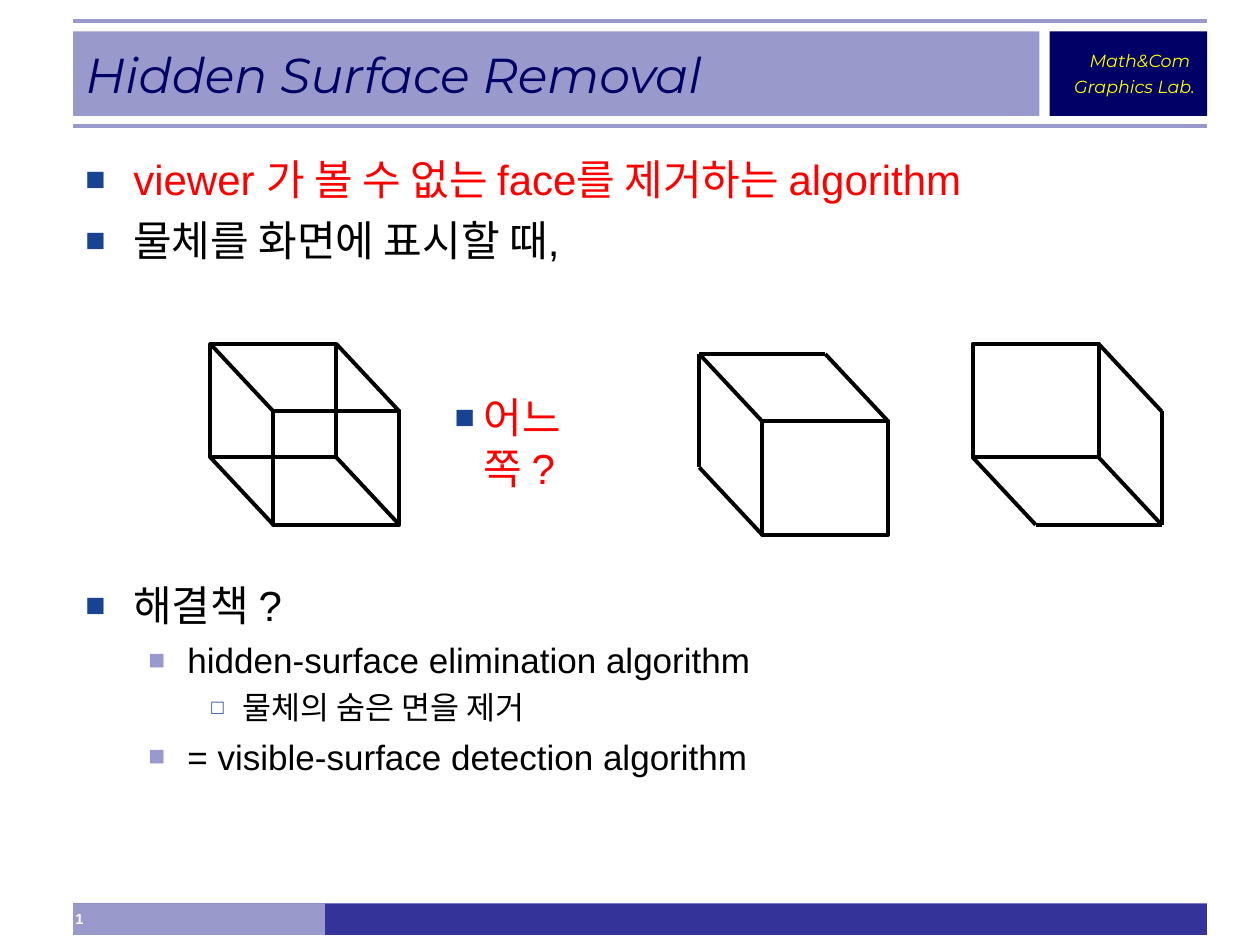
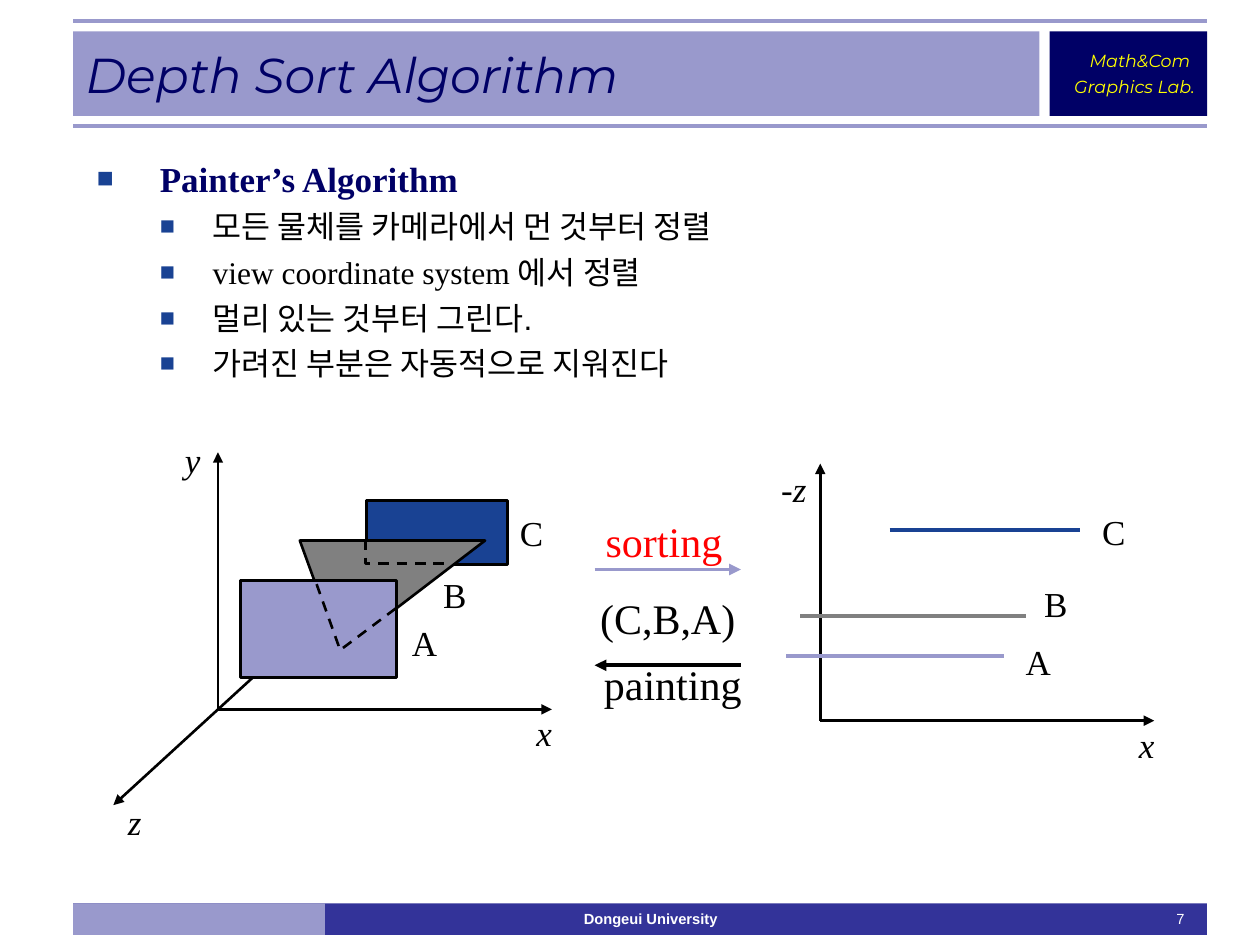
import dataclasses

import pptx
import pptx.dml.color
import pptx.enum.dml
import pptx.enum.shapes
import pptx.enum.text
import pptx.oxml
import pptx.oxml.ns
import pptx.slide
import pptx.util
from pptx.util import Inches

BLACK, WHITE, RED, GREY = "000000", "FFFFFF", "FF0000", "808080"
NAVY, BLUE, LILAC, INDIGO, YELLOW = "000066", "194293", "9999CC", "333399", "FFFF00"
ARIAL, TIMES, MONT = "Arial", "Times New Roman", "Montserrat"
RECT = pptx.enum.shapes.MSO_SHAPE.RECTANGLE
ALIGN = pptx.enum.text.PP_ALIGN
ANCHOR = pptx.enum.text.MSO_ANCHOR
Point = tuple[float, float]


@dataclasses.dataclass(frozen=True)
class Box:
    left: float
    top: float
    width: float
    height: float


@dataclasses.dataclass(frozen=True)
class Font:
    size: float
    name: str = ARIAL
    tint: str = BLACK
    bold: bool = False
    slant: bool = False


@dataclasses.dataclass(frozen=True)
class Bullet:
    left: float
    hang: float
    tint: str = BLUE
    mark: str = "■"
    scale: int = 80


@dataclasses.dataclass(frozen=True)
class Para:
    text: str
    font: Font
    bullet: Bullet | None = None
    gap: float = 0
    align: ALIGN = ALIGN.LEFT
    tail: str = ""
    tail_face: str = ARIAL


@dataclasses.dataclass(frozen=True)
class Line:
    start: Point
    end: Point
    tint: str = BLACK
    width: float = 1.5
    arrow: bool = False


@dataclasses.dataclass(frozen=True)
class Cube:
    left: float
    top: float
    faces: str
    edges: str


@dataclasses.dataclass(frozen=True)
class Label:
    text: str
    mid: Point
    size: float = 20
    tint: str = BLACK
    slant: bool = False


def paint(part, tint: str) -> None:
    if isinstance(part, pptx.dml.fill.FillFormat):
        part.solid()
        part = part.fore_color
    part.rgb = pptx.dml.color.RGBColor.from_string(tint)


def style(font, look: Font) -> None:
    font.size = pptx.util.Pt(look.size)
    font.name = look.name
    font.bold = look.bold
    font.italic = look.slant
    paint(font.color, look.tint)


def add_bullet(para, bullet: Bullet) -> None:
    props = para._p.get_or_add_pPr()
    props.set("marL", str(Inches(bullet.left)))
    props.set("indent", str(-Inches(bullet.hang)))
    space = pptx.oxml.ns.nsdecls("a")
    for xml in (
        f'<a:buClr {space}><a:srgbClr val="{bullet.tint}"/></a:buClr>',
        f'<a:buSzPct {space} val="{bullet.scale * 1000}"/>',
        f'<a:buFont {space} typeface="{ARIAL}"/>',
        f'<a:buChar {space} char="{bullet.mark}"/>',
    ):
        props.append(pptx.oxml.parse_xml(xml))


def write(frame, paras: list[Para], wrap: bool = True, anchor: ANCHOR = ANCHOR.TOP) -> None:
    frame.word_wrap = wrap
    frame.auto_size = pptx.enum.text.MSO_AUTO_SIZE.NONE
    frame.vertical_anchor = anchor
    for index, item in enumerate(paras):
        para = frame.add_paragraph() if index else frame.paragraphs[0]
        if item.bullet:
            add_bullet(para, item.bullet)
        para.alignment = item.align
        para.space_before = pptx.util.Pt(item.gap)
        style(para.font, item.font)
        run = para.add_run()
        run.text = item.text
        if item.tail:
            run.font.name = item.font.name
            run = para.add_run()
            run.text = item.tail
            run.font.name = item.tail_face


def place(box: Box) -> tuple:
    return Inches(box.left), Inches(box.top), Inches(box.width), Inches(box.height)


def add_text(slide: pptx.slide.Slide, box: Box, *paras: Para) -> None:
    write(slide.shapes.add_textbox(*place(box)).text_frame, list(paras))


def finish(shape, fill: str | None, edge: str | None, width: float) -> None:
    shape.shadow.inherit = False
    if fill:
        paint(shape.fill, fill)
    else:
        shape.fill.background()
    if edge:
        paint(shape.line.fill, edge)
        shape.line.width = pptx.util.Pt(width)
    else:
        shape.line.fill.background()


def add_rect(slide: pptx.slide.Slide, box: Box, fill: str | None = None,
             edge: str | None = None, width: float = 1.5):
    rect = slide.shapes.add_shape(RECT, *place(box))
    finish(rect, fill, edge, width)
    return rect


def add_path(slide: pptx.slide.Slide, points: list[Point], fill: str | None = None) -> None:
    spots = [(Inches(x), Inches(y)) for x, y in points]
    pen = slide.shapes.build_freeform(*spots[0])
    pen.add_line_segments(spots[1:], close=bool(fill))
    shape = pen.convert_to_shape()
    finish(shape, fill, BLACK, 1.5)
    if not fill:
        shape.line.dash_style = pptx.enum.dml.MSO_LINE.DASH


def add_line(slide: pptx.slide.Slide, line: Line) -> None:
    ends = [Inches(value) for value in (*line.start, *line.end)]
    link = slide.shapes.add_connector(pptx.enum.shapes.MSO_CONNECTOR.STRAIGHT, *ends)
    paint(link.line.fill, line.tint)
    link.line.width = pptx.util.Pt(line.width)
    props = link.element.spPr
    space = pptx.oxml.ns.nsdecls("a")
    if line.arrow:
        head = pptx.oxml.parse_xml(f'<a:tailEnd {space} type="triangle"/>')
        props.find(pptx.oxml.ns.qn("a:ln")).append(head)
    props.append(pptx.oxml.parse_xml(f"<a:effectLst {space}/>"))


def add_label(slide: pptx.slide.Slide, label: Label) -> None:
    x, y = label.mid
    box = slide.shapes.add_textbox(*place(Box(x - 0.2, y - 0.22, 0.4, 0.44)))
    font = Font(label.size, TIMES, label.tint, slant=label.slant)
    write(box.text_frame, [Para(label.text, font, align=ALIGN.CENTER)], False, ANCHOR.MIDDLE)


def add_cube(slide: pptx.slide.Slide, cube: Cube) -> None:
    wide, high, shift, drop = 1, 0.9, 0.5, 0.535
    spots = {}
    for names, x, y in (("abcd", cube.left, cube.top),
                        ("efgh", cube.left + shift, cube.top + drop)):
        corners = (x, y), (x + wide, y), (x + wide, y + high), (x, y + high)
        spots.update(zip(names, corners))
    for face in cube.faces:
        add_rect(slide, Box(*spots[face], wide, high), edge=BLACK, width=2.25)
    for start, end in cube.edges.split():
        add_line(slide, Line(spots[start], spots[end], width=2.25))


def add_page(deck, title: str) -> pptx.slide.Slide:
    slide = deck.slides.add_slide(deck.slide_layouts[5])
    bar = Box(0.58, 0.25, 7.67, 0.67)
    add_rect(slide, Box(0.58, 7.17, 9, 0.25), INDIGO)
    add_rect(slide, Box(0.58, 7.17, 2, 0.25), LILAC)
    lab = add_rect(slide, Box(8.33, 0.25, 1.25, 0.67), NAVY)
    small = Font(10, MONT, YELLOW, slant=True)
    write(lab.text_frame, [Para(text, small, gap=2.5, align=ALIGN.RIGHT)
                           for text in ("Math&Com ", "Graphics Lab.")], False, ANCHOR.MIDDLE)
    add_rect(slide, bar, LILAC)
    for y in (0.17, 1):
        add_line(slide, Line((0.58, y), (9.58, y), LILAC, 2.25))
    head = slide.shapes.title
    head.left, head.top, head.width, head.height = place(bar)
    head.element.getparent().append(head.element)
    write(head.text_frame, [Para(title, Font(28, MONT, NAVY, slant=True))], True, ANCHOR.MIDDLE)
    return slide


def build_hidden(deck) -> None:
    slide = add_page(deck, "Hidden Surface Removal")
    add_text(slide, Box(0.5, 7.17, 1.92, 0.25), Para("1", Font(8.4, tint=WHITE, bold=True)))
    main, sub = Bullet(0.38, 0.38), Bullet(0.81, 0.31, LILAC)
    deep = Bullet(1.25, 0.25, mark="□", scale=65)
    add_text(slide, Box(0.58, 1.17, 9, 1.1),
             Para("viewer 가 볼 수 없는 face를 제거하는 algorithm", Font(24, tint=RED), main, 6),
             Para("물체를 화면에 표시할 때,", Font(24), main, 6))
    add_text(slide, Box(0.58, 4.55, 9, 2),
             Para("해결책 ?", Font(24), main, 6),
             Para("hidden-surface elimination algorithm", Font(20), sub, 5),
             Para("물체의 숨은 면을 제거", Font(18), deep, 4.5),
             Para("= visible-surface detection algorithm", Font(20), sub, 5))
    for cube in (Cube(1.67, 2.73, "ae", "ae bf cg dh"),
                 Cube(7.72, 2.73, "a", "bf cg dh hg fg"),
                 Cube(5.55, 2.81, "e", "ae bf dh ad ab")):
        add_cube(slide, cube)
    add_text(slide, Box(3.51, 3.06, 1.3, 0.95),
             Para("어느 쪽 ?", Font(24, tint=RED), Bullet(0.23, 0.23), 6))


def build_depth(deck) -> None:
    slide = add_page(deck, "Depth Sort Algorithm")
    add_text(slide, Box(2.58, 7.17, 5.17, 0.25),
             Para("Dongeui University", Font(8.4, tint=WHITE, bold=True), align=ALIGN.CENTER))
    add_text(slide, Box(7.92, 7.17, 1.58, 0.25),
             Para("7", Font(8.4, tint=WHITE), align=ALIGN.RIGHT))
    sub, plain = Bullet(0.92, 0.42), Font(18)
    add_text(slide, Box(0.67, 1.2, 8.9, 2),
             Para("Painter’s Algorithm", Font(20, TIMES, NAVY, True), Bullet(0.5, 0.5), 6),
             Para("모든 물체를 카메라에서 먼 것부터 정렬", plain, sub, 4.5),
             Para("view coordinate system ", Font(18, TIMES), sub, 4.5, tail="에서 정렬"),
             Para("멀리 있는 것부터 그린다.", plain, sub, 4.5),
             Para("가려진 부분은 자동적으로 지워진다", plain, sub, 4.5))

    add_rect(slide, Box(2.91, 3.97, 1.12, 0.51), BLUE, BLACK)
    for x, y in ((1.73, 5.63), (6.51, 5.72)):
        add_line(slide, Line((x, y), (x, y - 2.04), arrow=True))
        add_line(slide, Line((x, y), (x + 2.65, y), arrow=True))
    add_line(slide, Line((2.08, 5.31), (0.9, 6.39), arrow=True))
    add_path(slide, [(2.38, 4.29), (2.7, 5.17), (3.85, 4.29)], GREY)
    add_rect(slide, Box(1.91, 4.61, 1.24, 0.77), LILAC, BLACK)
    add_path(slide, [(3.14, 4.83), (2.7, 5.16), (2.5, 4.6)])
    add_path(slide, [(2.9, 4.28), (2.9, 4.47), (3.57, 4.47)])

    for line in (Line((6.24, 5.21), (7.97, 5.21), LILAC, 2.25),
                 Line((6.35, 4.89), (8.14, 4.89), GREY, 2.25),
                 Line((7.06, 4.21), (8.57, 4.21), BLUE, 2.25),
                 Line((4.72, 4.52), (5.88, 4.52), LILAC, 2.25, True),
                 Line((5.88, 5.28), (4.72, 5.28), BLACK, 2.25, True)):
        add_line(slide, line)
    for text, *mids in (("A", (3.37, 5.1), (8.24, 5.25)),
                        ("B", (3.61, 4.72), (8.38, 4.79)),
                        ("C", (4.22, 4.23), (8.84, 4.22))):
        for mid in mids:
            add_label(slide, Label(text, mid))
    for text, mid in (("y", (1.53, 3.65)), ("x", (4.32, 5.81)), ("z", (1.07, 6.52)),
                      ("-z", (6.3, 3.88)), ("x", (9.1, 5.91))):
        add_label(slide, Label(text, mid, slant=True))
    for label in (Label("sorting", (5.27, 4.29), 24, RED),
                  Label("painting", (5.34, 5.43), 24),
                  Label("(C,B,A)", (5.3, 4.9), 24)):
        add_label(slide, label)


def main() -> None:
    deck = pptx.Presentation()
    deck.slide_width, deck.slide_height = Inches(10), Inches(7.5)
    build_hidden(deck)
    build_depth(deck)
    deck.save("out.pptx")


if __name__ == "__main__":
    main()
